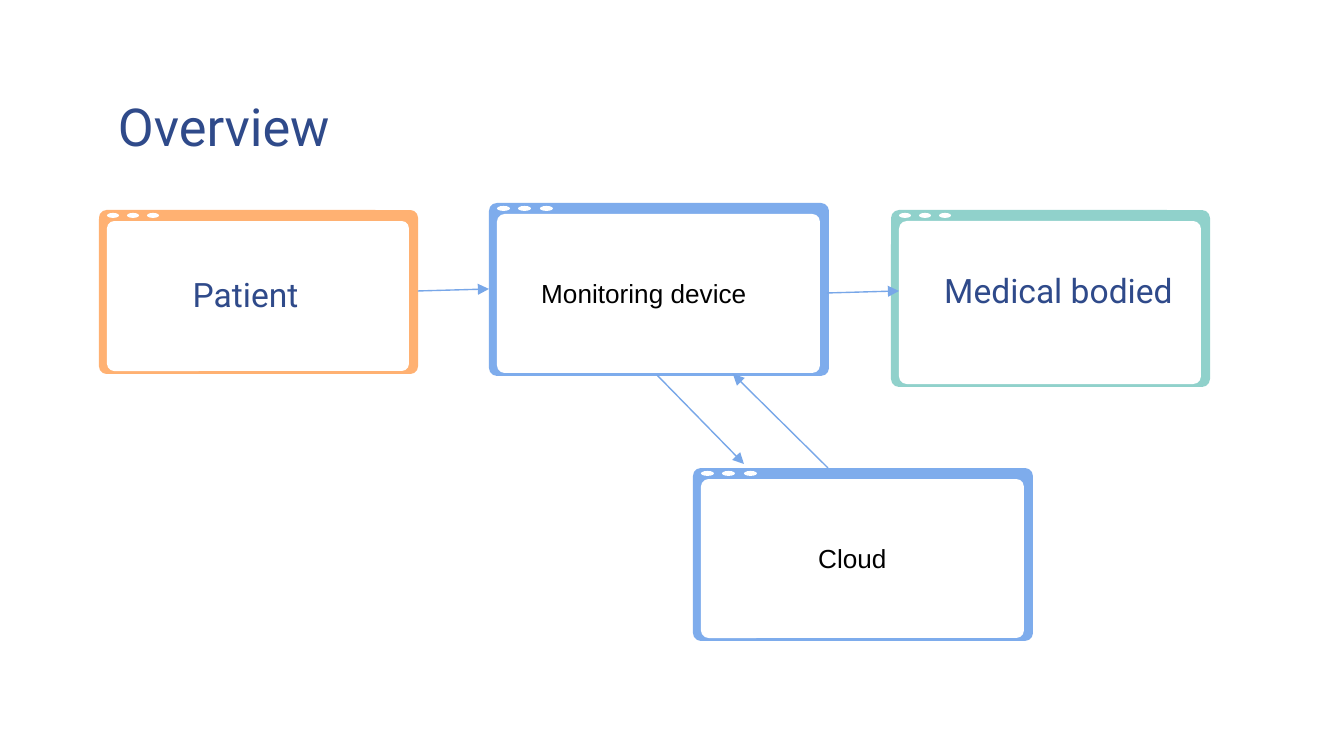
from lxml import etree
from pptx import Presentation, util as u
from pptx.dml.color import RGBColor
from pptx.enum import shapes, text
from pptx.oxml import ns

NAVY = RGBColor(0x2F, 0x4A, 0x8A)
ORANGE = RGBColor(0xFF, 0xB1, 0x72)
BLUE = RGBColor(0x7E, 0xAC, 0xEC)
TEAL = RGBColor(0x90, 0xD1, 0xCB)
ARROW = RGBColor(0x78, 0xA7, 0xE8)
WHITE = RGBColor(0xFF, 0xFF, 0xFF)
BLACK = RGBColor(0, 0, 0)
LEFT, CENTER = text.PP_ALIGN.LEFT, text.PP_ALIGN.CENTER
TOP, MIDDLE = text.MSO_ANCHOR.TOP, text.MSO_ANCHOR.MIDDLE
INSET = 13
HEADING = {"name": "Roboto", "size": u.Pt(18), "color": NAVY}
LABEL = {"name": "Arial", "size": u.Pt(14), "color": BLACK}


def px(n):
    """Turn picture pixels into EMU."""
    return u.Emu(round(n * 914400 / 134.4))


def set_attrs(obj, values):
    """Set every attribute named in a dict."""
    for name, value in values.items():
        setattr(obj, name, value)


def write(sp, wording, font, align, anchor, indent=0):
    """Put one formatted line of text into a shape."""
    tf = sp.text_frame
    set_attrs(tf, {"word_wrap": True, "auto_size": text.MSO_AUTO_SIZE.NONE,
                   "vertical_anchor": anchor, "margin_left": px(INSET + indent),
                   "margin_right": px(INSET), "margin_top": px(INSET),
                   "margin_bottom": px(INSET)})
    p = tf.paragraphs[0]
    p.alignment = align
    r = p.add_run()
    r.text = wording
    set_attrs(r.font, {"name": font["name"], "size": font["size"]})
    r.font.color.rgb = font["color"]


def add_title(s, box, wording):
    """Place and fill the slide title."""
    sp = s.shapes.title
    set_attrs(sp, dict(zip(("left", "top", "width", "height"), map(px, box))))
    write(sp, wording, {**HEADING, "size": u.Pt(28)}, LEFT, TOP)


def add_heading(s, box, wording):
    """Add a centred heading over a window."""
    write(s.shapes.add_textbox(*map(px, box)), wording, HEADING, CENTER, TOP)


def add_filled(parent, kind, box, color, radius=None):
    """Add a plain filled shape without line or shadow."""
    sp = parent.shapes.add_shape(kind, *map(px, box))
    sp.shadow.inherit = False
    sp.fill.solid()
    sp.fill.fore_color.rgb = color
    sp.line.fill.background()
    if radius:
        sp.adjustments[0] = radius
    return sp


def add_window(s, box, color):
    """Draw a browser window in a box and return its pane."""
    x, y, w, h = box
    grp = s.shapes.add_group_shape()
    rounded = shapes.MSO_SHAPE.ROUNDED_RECTANGLE
    add_filled(grp, rounded, box, color, 0.046)
    pane = add_filled(grp, rounded, (x + 8, y + 11, w - 17, h - 14), WHITE, 0.048)
    for i in range(3):
        dot = (x + 8 + round(i * w * 0.063), y + 3, round(w * 0.038), 5)
        add_filled(grp, shapes.MSO_SHAPE.OVAL, dot, WHITE)
    return pane


def add_arrow(s, start, end):
    """Draw a thin arrow between two points."""
    c = s.shapes.add_connector(shapes.MSO_CONNECTOR.STRAIGHT, *map(px, start + end))
    c.line.color.rgb = ARROW
    c.line.width = u.Pt(0.75)
    etree.SubElement(c.line._get_or_add_ln(), ns.qn("a:tailEnd"), type="triangle")
    etree.SubElement(c._element.spPr, ns.qn("a:effectLst"))


def build_overview(prs):
    """Build the overview diagram slide."""
    s = prs.slides.add_slide(prs.slide_layouts[5])
    add_title(s, (105, 81, 1134, 69), "Overview")
    add_window(s, (99, 210, 319, 164), ORANGE)
    add_window(s, (891, 210, 319, 177), TEAL)
    add_heading(s, (86, 261, 319, 69), "Patient")
    add_heading(s, (899, 257, 319, 69), "Medical bodied")
    for box, wording, indent in (((489, 203, 340, 173), "Monitoring device", 29),
                                 ((693, 468, 340, 173), "Cloud", 102)):
        write(add_window(s, box, BLUE), wording, LABEL, LEFT, MIDDLE, indent)
    for start, end in (((418, 291), (489, 289)), ((657, 375), (744, 464)),
                       ((827, 293), (899, 291)), ((828, 468), (733, 374))):
        add_arrow(s, start, end)


prs = Presentation()
set_attrs(prs, {"slide_width": px(1344), "slide_height": px(756)})
build_overview(prs)
prs.save("out.pptx")
